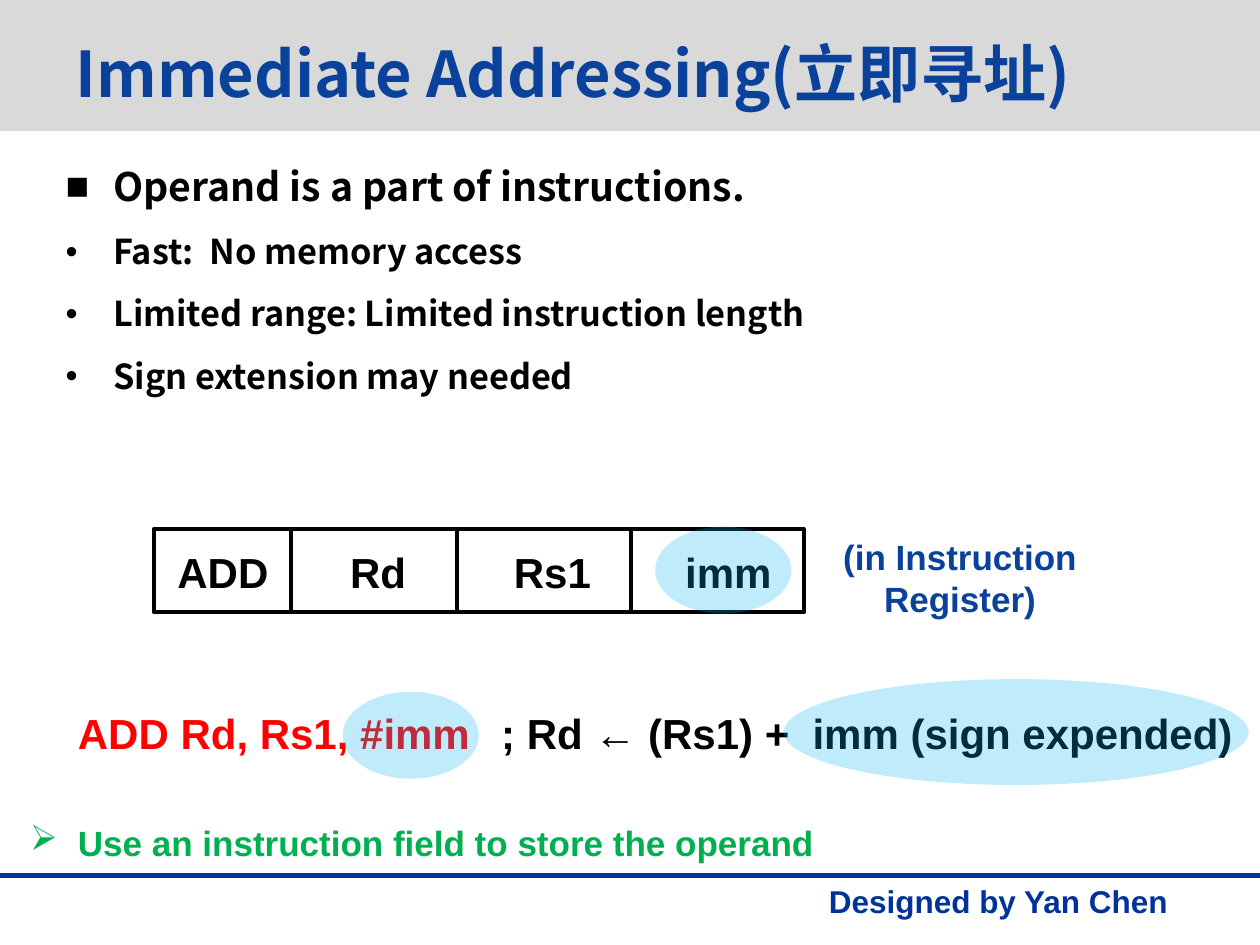
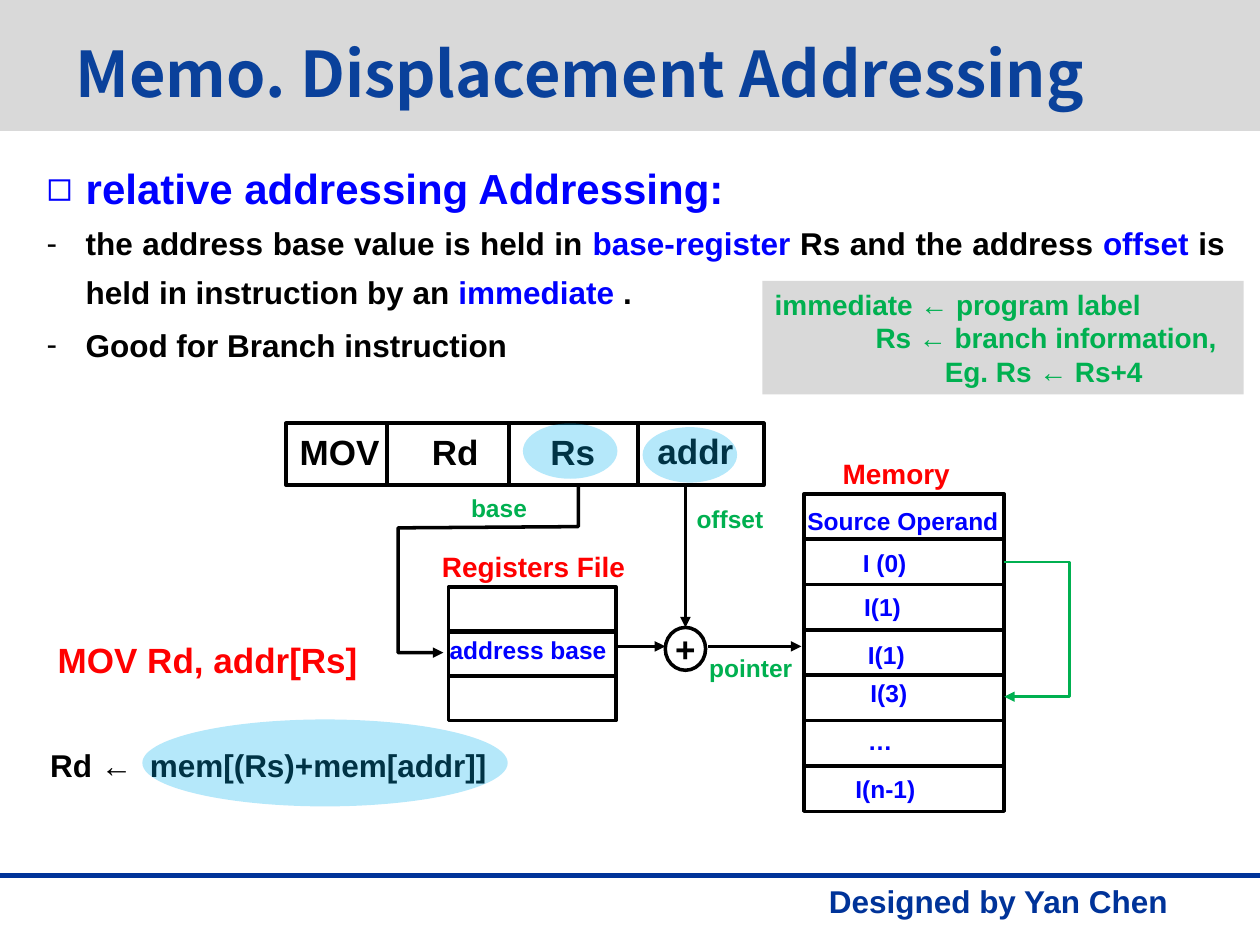
import pptx
import pptx.util
import pptx.dml.color
import pptx.enum.shapes
import pptx.enum.text
import pptx.oxml.ns
import pptx.shapes.connector
from lxml import etree

Inches = pptx.util.Inches
Pt = pptx.util.Pt
rgb = pptx.dml.color.RGBColor.from_string
qn = pptx.oxml.ns.qn
SHAPE = pptx.enum.shapes.MSO_SHAPE
STRAIGHT = pptx.enum.shapes.MSO_CONNECTOR.STRAIGHT
ALIGN = pptx.enum.text.PP_ALIGN
MIDDLE = pptx.enum.text.MSO_ANCHOR.MIDDLE

# Shared look
BLACK, RED, GREEN, BLUE = "000000", "FF0000", "00B050", "0000FF"
TITLE_BLUE, FOOTER_BLUE, SKY, GREY = "0A419B", "003399", "00B0F0", "D9D9D9"
HEADING_FONT, TEXT_FONT = "Noto Sans CJK SC", "Arial"
FRAME = {
    "word_wrap": True,
    "auto_size": pptx.enum.text.MSO_AUTO_SIZE.NONE,
    "margin_left": Inches(0.1), "margin_right": Inches(0.1),
    "margin_top": Inches(0.05), "margin_bottom": Inches(0.05),
}


def write(shape, *paragraphs):
    """Fill a shape with paragraphs given as dicts of runs and format values."""
    frame = shape.text_frame
    for name, value in FRAME.items():
        setattr(frame, name, value)
    for number, spec in enumerate(paragraphs):
        paragraph = frame.add_paragraph() if number else frame.paragraphs[0]
        color, font = spec.get("color", BLACK), spec.get("font", TEXT_FONT)
        layout = {"alignment": ALIGN.LEFT, "space_before": Pt(0)}
        layout.update(spec.get("layout", {}))
        if number == 0:
            layout["space_before"] = Pt(0)
        for name, value in layout.items():
            setattr(paragraph, name, value)
        properties = paragraph._p.get_or_add_pPr()
        properties.set("marL", str(Inches(spec.get("left", 0))))
        properties.set("indent", str(-Inches(spec.get("hanging", 0))))
        if "bullet" in spec:
            bullet_color = etree.SubElement(properties, qn("a:buClr"))
            etree.SubElement(bullet_color, qn("a:srgbClr"), val=color)
            etree.SubElement(properties, qn("a:buChar"), char=spec["bullet"])
        runs = spec["runs"]
        for text, run_color in [(runs, color)] if isinstance(runs, str) else runs:
            run = paragraph.add_run()
            run.text = text
            for name, value in {"size": Pt(spec["size"]), "bold": True, "name": font}.items():
                setattr(run.font, name, value)
            run.font.color.rgb = rgb(run_color)
            if font == HEADING_FONT:
                etree.SubElement(run.font._element, qn("a:ea"), typeface=font)


def paint(shape, fill=None, line=None, width=2, opacity=None, arrow=False):
    """Set fill, outline and arrowhead, and take the shadow away."""
    if isinstance(shape, pptx.shapes.connector.Connector):
        etree.SubElement(shape.element.spPr, qn("a:effectLst"))
    else:
        shape.shadow.inherit = False
        if fill:
            shape.fill.solid()
            shape.fill.fore_color.rgb = rgb(fill)
        else:
            shape.fill.background()
    if opacity:
        tint = shape.element.spPr.find(qn("a:solidFill")).find(qn("a:srgbClr"))
        etree.SubElement(tint, qn("a:alpha"), val=str(opacity * 1000))
    if line:
        shape.line.color.rgb = rgb(line)
        shape.line.width = Pt(width)
    else:
        shape.line.fill.background()
    if arrow:
        etree.SubElement(shape.element.spPr.find(qn("a:ln")), qn("a:tailEnd"), type="triangle")
    return shape


prs = pptx.Presentation()
prs.slide_width, prs.slide_height = Inches(10), Inches(7.5)
immediate, displacement = [prs.slides.add_slide(prs.slide_layouts[1]) for _ in range(2)]

# Title band, footer and footer rule, moved to the master
band = immediate.shapes.add_shape(SHAPE.RECTANGLE, 0, 0, Inches(10), Inches(1.04))
paint(band, GREY)
designer = immediate.shapes.add_textbox(Inches(6.48), Inches(6.95), Inches(3.02), Inches(0.4))
write(designer, dict(runs="Designed by Yan Chen", size=18, color=FOOTER_BLUE))
footer_rule = immediate.shapes.add_connector(STRAIGHT, 0, Inches(6.95), Inches(10), Inches(6.95))
paint(footer_rule, line=FOOTER_BLUE, width=3)
for place, part in enumerate((band, designer, footer_rule)):
    part.element.xpath(".//p:cNvPr")[0].set("id", str(100 + place))
    prs.slide_master.shapes.element.insert(2 + place, part.element)

# Titles and lists
point = dict(font=HEADING_FONT, left=0.38, hanging=0.38, layout={"space_before": Pt(12)})
item = dict(left=0.31, hanging=0.31, layout={"alignment": ALIGN.JUSTIFY, "line_spacing": 1.3})
last_item = dict(item, layout=dict(item["layout"], space_before=Pt(2)))
immediate_points = [dict(point, runs="Operand is a part of instructions.", size=22.4, bullet="■")]
immediate_points += [
    dict(point, runs=text, size=19.6, bullet="•")
    for text in ("Fast:  No memory access", "Limited range: Limited instruction length",
                 "Sign extension may needed")
]
displacement_points = [
    dict(item, runs="relative addressing Addressing:", size=24, color=BLUE, bullet="◻"),
    dict(item, size=18, bullet="-", runs=[
        ("the address base value is held in ", BLACK), ("base-register", BLUE),
        (" Rs and the address ", BLACK), ("offset", BLUE),
        (" is held in instruction by an ", BLACK), ("immediate ", BLUE), (".", BLACK)]),
    dict(last_item, runs="Good for Branch instruction", size=18, bullet="-"),
]
for slide, heading, points, place in (
    (immediate, "Immediate Addressing(立即寻址)", immediate_points, (0.42, 1.24, 8.91, 1.92)),
    (displacement, "Memo. Displacement Addressing", displacement_points, (0.27, 1.12, 9.55, 1.9)),
):
    title, body = slide.shapes.title, slide.placeholders[1]
    for holder, box in ((title, (0.5, 0.24, 8.98, 0.67)), (body, place)):
        for side, length in zip(("left", "top", "width", "height"), box):
            setattr(holder, side, Inches(length))
    write(title, dict(runs=heading, size=36, color=TITLE_BLUE, font=HEADING_FONT))
    title.text_frame.vertical_anchor = MIDDLE
    write(body, *points)

# Instruction words: frame and field dividers
for slide, left, top, width, height, dividers in (
    (immediate, 1.22, 4.2, 5.16, 0.66, (2.31, 3.63, 5.01)),
    (displacement, 2.27, 3.36, 3.79, 0.49, (3.07, 4.04, 5.06)),
):
    word = slide.shapes.add_shape(SHAPE.RECTANGLE, Inches(left), Inches(top),
                                  Inches(width), Inches(height))
    paint(word, line=BLACK, width=2.25)
    for x in dividers:
        divider = slide.shapes.add_connector(STRAIGHT, Inches(x), Inches(top),
                                             Inches(x), Inches(top + height))
        paint(divider, line=BLACK, width=2.25)

# Register file and memory cells
for left, top, width, step, count in ((3.56, 4.66, 1.33, 0.35, 3), (6.38, 3.92, 1.59, 0.36, 7)):
    for row in range(count):
        cell = displacement.shapes.add_shape(SHAPE.RECTANGLE, Inches(left), Inches(top + row * step),
                                             Inches(width), Inches(0.36))
        paint(cell, line=BLACK)

# Adder and the arrows around it
adder = displacement.shapes.add_shape(SHAPE.OVAL, Inches(5.28), Inches(4.98),
                                      Inches(0.32), Inches(0.34))
paint(adder, line=BLACK)
write(adder, dict(runs="+", size=20, layout={"alignment": ALIGN.CENTER}))
for side in ("left", "right", "top", "bottom"):
    setattr(adder.text_frame, "margin_" + side, 0)
adder.text_frame.vertical_anchor = MIDDLE
adder.text_frame.word_wrap = False

for x1, y1, x2, y2 in ((4.89, 5.13, 5.28, 5.13), (5.62, 5.13, 6.36, 5.13), (5.44, 3.85, 5.44, 4.98)):
    flow = displacement.shapes.add_connector(STRAIGHT, Inches(x1), Inches(y1), Inches(x2), Inches(y2))
    paint(flow, line=BLACK, arrow=True)
flow.end_connect(adder, 0)

# Base path to the registers and jump between memory cells
for color, width, corners in (
    (BLACK, 2, ((4.59, 3.85), (4.59, 4.18), (3.16, 4.19), (3.16, 5.18), (3.52, 5.18))),
    (GREEN, 1.5, ((7.97, 4.46), (8.49, 4.46), (8.49, 5.53), (7.97, 5.53))),
):
    start, *turns = [(Inches(x), Inches(y)) for x, y in corners]
    route = displacement.shapes.build_freeform(*start)
    route.add_line_segments(turns, close=False)
    paint(route.convert_to_shape(), line=color, width=width, arrow=True)

# Labels: text, left, top, width, size, colour
immediate_labels = [
    ("ADD", 1.31, 4.29, 1.1, 24, BLACK),
    ("Rd", 2.68, 4.29, 0.8, 24, BLACK),
    ("Rs1", 3.98, 4.29, 1, 24, BLACK),
    ("imm", 5.34, 4.29, 1, 24, BLACK),
    ("ADD Rd, Rs1, #imm", 0.52, 5.57, 3.5, 24, RED),
    ("; Rd ← (Rs1) +  imm (sign expended)", 3.88, 5.57, 6.1, 24, BLACK),
]
displacement_labels = [
    ("MOV Rd, addr[Rs]", 0.36, 5.02, 2.8, 20, RED),
    ("Rd ←  mem[(Rs)+mem[addr]]", 0.3, 5.87, 4, 18, BLACK),
    ("MOV", 2.28, 3.37, 1, 20, BLACK),
    ("Rd", 3.33, 3.37, 0.8, 20, BLACK),
    ("Rs", 4.27, 3.37, 0.8, 20, BLACK),
    ("addr", 5.12, 3.36, 1, 20, BLACK),
    ("base", 3.64, 3.86, 0.8, 14, GREEN),
    ("offset", 5.43, 3.95, 0.8, 14, GREEN),
    ("pointer", 5.53, 5.13, 1, 14, GREEN),
    ("Registers File", 3.41, 4.31, 1.8, 16, RED),
    ("address base", 3.47, 4.99, 1.6, 14, BLUE),
    ("Memory", 6.59, 3.57, 1.4, 16, RED),
    ("Source Operand", 6.31, 3.97, 1.9, 14, BLUE),
    ("I (0)", 6.75, 4.3, 0.8, 14, BLUE),
    ("I(1)", 6.76, 4.65, 0.8, 14, BLUE),
    ("I(1)", 6.79, 5.03, 0.8, 14, BLUE),
    ("I(3)", 6.81, 5.33, 0.8, 14, BLUE),
    ("…", 6.79, 5.71, 0.8, 14, BLUE),
    ("I(n-1)", 6.69, 6.09, 0.9, 14, BLUE),
]
for slide, entries in ((immediate, immediate_labels), (displacement, displacement_labels)):
    for text, left, top, width, size, color in entries:
        label = slide.shapes.add_textbox(Inches(left), Inches(top), Inches(width), Inches(size / 48))
        write(label, dict(runs=text, size=size, color=color))

register_note = immediate.shapes.add_textbox(Inches(6.52), Inches(4.2), Inches(2.2), Inches(0.77))
write(register_note, dict(runs="(in Instruction Register)", size=20, color=TITLE_BLUE,
                          layout={"alignment": ALIGN.CENTER}))
summary = immediate.shapes.add_textbox(Inches(0.14), Inches(6.47), Inches(6.6), Inches(0.44))
write(summary, dict(runs="Use an instruction field to store the operand", size=20,
                    color=GREEN, bullet="➢", left=0.38, hanging=0.38))

# Branch example
example = displacement.shapes.add_shape(SHAPE.RECTANGLE, Inches(6.05), Inches(2.23),
                                        Inches(3.82), Inches(0.9))
paint(example, GREY)
write(example, *[
    dict(runs=text, size=16, color=GREEN, left=left)
    for text, left in (("immediate ← program label", 0), ("Rs ← branch information,", 0.8),
                       ("Eg. Rs ← Rs+4", 1.35))
])
example.text_frame.vertical_anchor = pptx.enum.text.MSO_ANCHOR.TOP

# Translucent highlights over the operands
for slide, opacity, left, top, width, height in (
    (immediate, 25, 5.2, 4.18, 1.08, 0.69),
    (immediate, 25, 6.22, 5.39, 3.69, 0.84),
    (immediate, 25, 2.72, 5.49, 1.08, 0.69),
    (displacement, 29, 1.13, 5.71, 2.9, 0.69),
    (displacement, 29, 5.1, 3.39, 0.75, 0.44),
    (displacement, 29, 4.15, 3.36, 0.75, 0.44),
):
    highlight = slide.shapes.add_shape(SHAPE.OVAL, Inches(left), Inches(top),
                                       Inches(width), Inches(height))
    paint(highlight, SKY, opacity=opacity)

prs.save("out.pptx")
